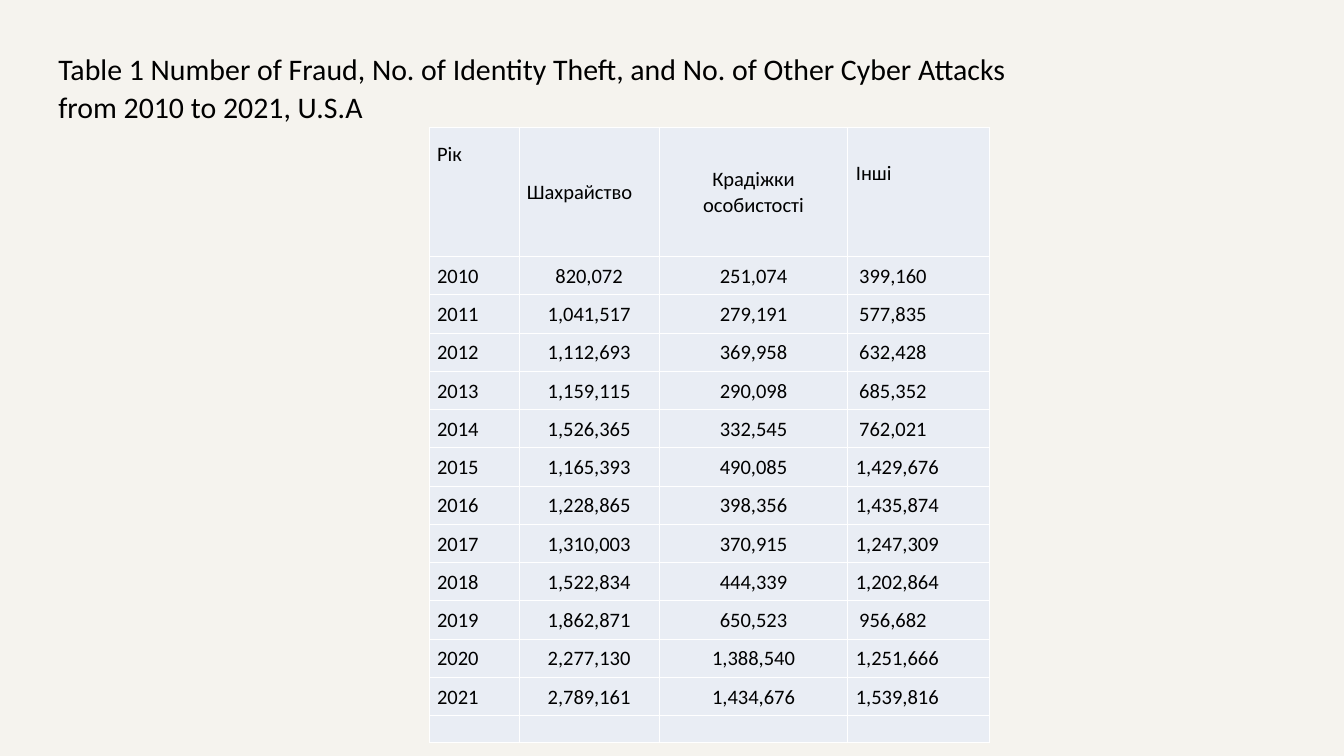
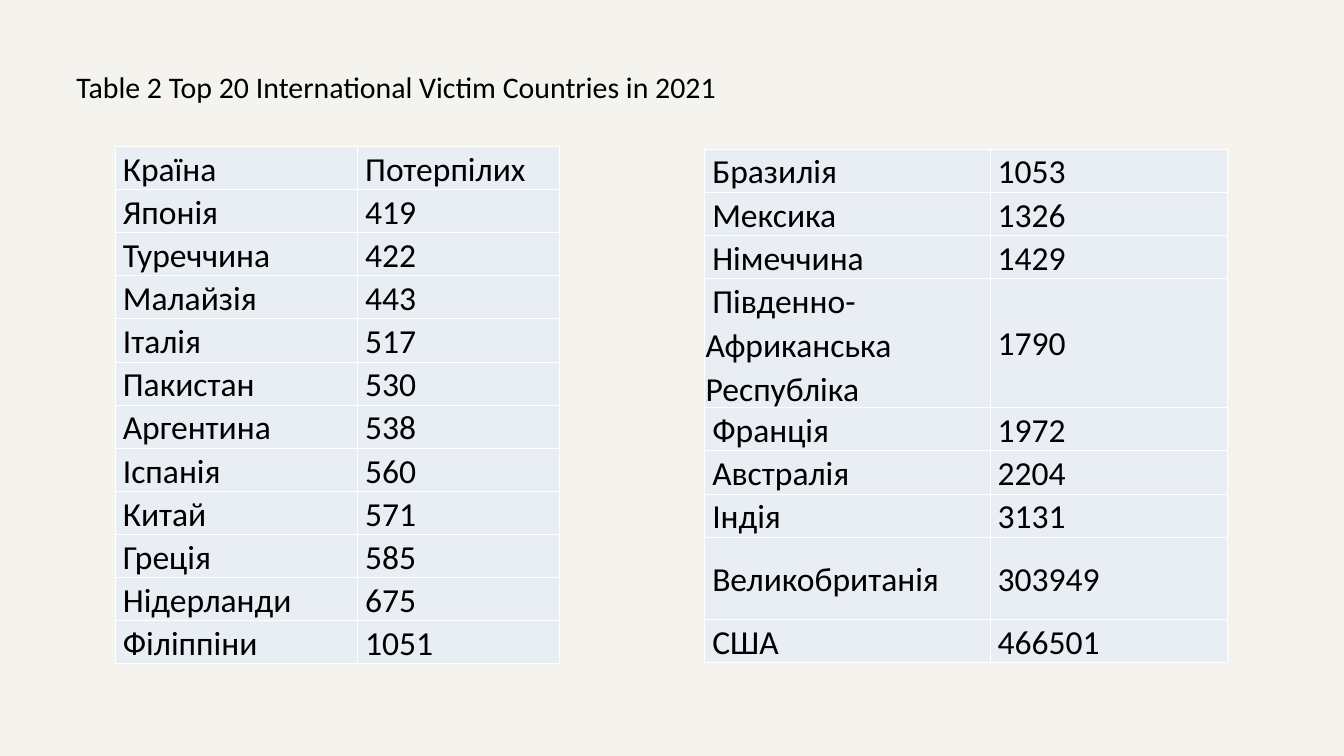
from dataclasses import dataclass

from pptx import Presentation
from pptx.dml.color import RGBColor
from pptx.enum.text import MSO_ANCHOR, MSO_AUTO_SIZE, PP_ALIGN
from pptx.oxml.ns import qn
from pptx.slide import Slide
from pptx.table import _Cell
from pptx.text.text import _Paragraph
from pptx.util import Inches, Pt
from lxml import etree

CENTER = PP_ALIGN.CENTER
TOP, MIDDLE = MSO_ANCHOR.TOP, MSO_ANCHOR.MIDDLE
GROW = MSO_AUTO_SIZE.SHAPE_TO_FIT_TEXT

FONT = "Calibri"
PAPER, INK, TINT, RULE = "F5F3EE", "000000", "E9EDF4", "FFFFFF"
INDENT, DEEP = 0.1, 0.15
LINE = 0.64  # height of one row of country text


@dataclass
class Title:
    text: str
    left: float
    top: float
    width: float
    height: float


@dataclass
class Grid:
    left: float
    top: float
    widths: list[float]
    heights: list[float]
    rows: list[tuple[str, ...]]
    size: int
    inset: float


ATTACKS = [
    ("Рік", "Шахрайство", "Крадіжки особистості", "Інші"),
    ("2010", "820,072", "251,074", "399,160"),
    ("2011", "1,041,517", "279,191", "577,835"),
    ("2012", "1,112,693", "369,958", "632,428"),
    ("2013", "1,159,115", "290,098", "685,352"),
    ("2014", "1,526,365", "332,545", "762,021"),
    ("2015", "1,165,393", "490,085", "1,429,676"),
    ("2016", "1,228,865", "398,356", "1,435,874"),
    ("2017", "1,310,003", "370,915", "1,247,309"),
    ("2018", "1,522,834", "444,339", "1,202,864"),
    ("2019", "1,862,871", "650,523", "956,682"),
    ("2020", "2,277,130", "1,388,540", "1,251,666"),
    ("2021", "2,789,161", "1,434,676", "1,539,816"),
    ("", "", "", ""),
]
FEWER = [
    ("Країна", "Потерпілих"),
    ("Японія", "419"),
    ("Туреччина", "422"),
    ("Малайзія", "443"),
    ("Італія", "517"),
    ("Пакистан", "530"),
    ("Аргентина", "538"),
    ("Іспанія", "560"),
    ("Китай", "571"),
    ("Греція", "585"),
    ("Нідерланди", "675"),
    ("Філіппіни", "1051"),
]
MORE = [
    ("Бразилія", "1053"),
    ("Мексика", "1326"),
    ("Німеччина", "1429"),
    ("Південно-Африканська Республіка", "1790"),
    ("Франція", "1972"),
    ("Австралія", "2204"),
    ("Індія", "3131"),
    ("Великобританія", "303949"),
    ("США", "466501"),
]


def color(code: str) -> RGBColor:
    return RGBColor.from_string(code)


def style(para: _Paragraph, size: int, after: int) -> None:
    para.line_spacing = 1.07
    para.space_after = Pt(after)
    for run in para.runs:
        run.font.name = FONT
        run.font.size = Pt(size)
        run.font.color.rgb = color(INK)


def add_title(slide: Slide, title: Title) -> None:
    box = slide.shapes.add_textbox(Inches(title.left), Inches(title.top),
                                   Inches(title.width), Inches(title.height))
    frame = box.text_frame
    frame.word_wrap = True
    frame.auto_size = GROW
    frame.text = title.text
    style(frame.paragraphs[0], 32, 8)


def paint(cell: _Cell) -> None:
    """Give a cell its four borders and its fill."""
    props = cell._tc.get_or_add_tcPr()
    for side in ("lnL", "lnR", "lnT", "lnB"):
        line = etree.SubElement(props, qn(f"a:{side}"), w=str(Pt(1)))
        fill = etree.SubElement(line, qn("a:solidFill"))
        etree.SubElement(fill, qn("a:srgbClr"), val=RULE)
    cell.fill.solid()
    cell.fill.fore_color.rgb = color(TINT)


def indent(cell: _Cell, depth: float) -> None:
    """Indent the first line of a cell."""
    props = cell.text_frame.paragraphs[0]._p.get_or_add_pPr()
    props.set("indent", str(Inches(depth)))


def raise_text(cell: _Cell, gap: float) -> None:
    """Hang the text at a fixed gap below the top of the cell."""
    cell.vertical_anchor = TOP
    cell.margin_top = Inches(gap)


def add_grid(slide: Slide, grid: Grid):
    shape = slide.shapes.add_table(
        len(grid.rows), len(grid.widths), Inches(grid.left), Inches(grid.top),
        Inches(sum(grid.widths)), Inches(sum(grid.heights)))
    table = shape.table
    table.first_row = table.horz_banding = False
    for col, width in zip(table.columns, grid.widths):
        col.width = Inches(width)
    for row, height in zip(table.rows, grid.heights):
        row.height = Inches(height)
    for cell, text in zip(table.iter_cells(), sum(grid.rows, ())):
        cell.margin_left = cell.margin_right = Inches(grid.inset)
        cell.margin_top = cell.margin_bottom = 0
        cell.vertical_anchor = MIDDLE
        paint(cell)
        if text:
            cell.text_frame.text = text
            style(cell.text_frame.paragraphs[0], grid.size, 12)
            indent(cell, INDENT)
    return table


def add_attacks(slide: Slide) -> None:
    add_title(slide, Title(
        "Table 1 Number of Fraud, No. of Identity Theft, and No. of Other "
        "Cyber Attacks from 2010 to 2021, U.S.A", 0.77, 0.67, 14.34, 1.23))
    table = add_grid(slide, Grid(
        6.39, 1.89, [1.34, 2.09, 2.81, 2.11],
        [1.93] + [0.57] * 12 + [0.4], ATTACKS, 22, 0.02))
    for num, row in enumerate(ATTACKS):
        for col in (1, 2):
            if row[col] and (num, col) != (0, 1):
                cell = table.cell(num, col)
                indent(cell, 0)
                cell.text_frame.paragraphs[0].alignment = CENTER
        if len(row[3]) == len("399,160"):
            indent(table.cell(num, 3), DEEP)
    raise_text(table.cell(0, 0), 0.2)
    raise_text(table.cell(0, 3), 0.48)


def add_victims(slide: Slide) -> None:
    add_title(slide, Title("Table 2 Top 20 International Victim Countries in 2021",
                           1.04, 0.93, 18, 0.65))
    add_grid(slide, Grid(1.72, 2.18, [3.61, 3], [LINE] * len(FEWER),
                         FEWER, 36, 0.01))
    tall = [LINE] * 3 + [3 * LINE] + [LINE] * 3 + [1.23, LINE]
    add_grid(slide, Grid(10.5, 2.22, [4.25, 3.54], tall, MORE, 36, 0.01))


def main() -> None:
    deck = Presentation()
    deck.slide_width, deck.slide_height = Inches(20.02), Inches(11.26)
    back = deck.slide_master.background.fill
    back.solid()
    back.fore_color.rgb = color(PAPER)
    blank = deck.slide_layouts[6]
    for draw in (add_attacks, add_victims):
        draw(deck.slides.add_slide(blank))
    deck.save("out.pptx")


if __name__ == "__main__":
    main()
